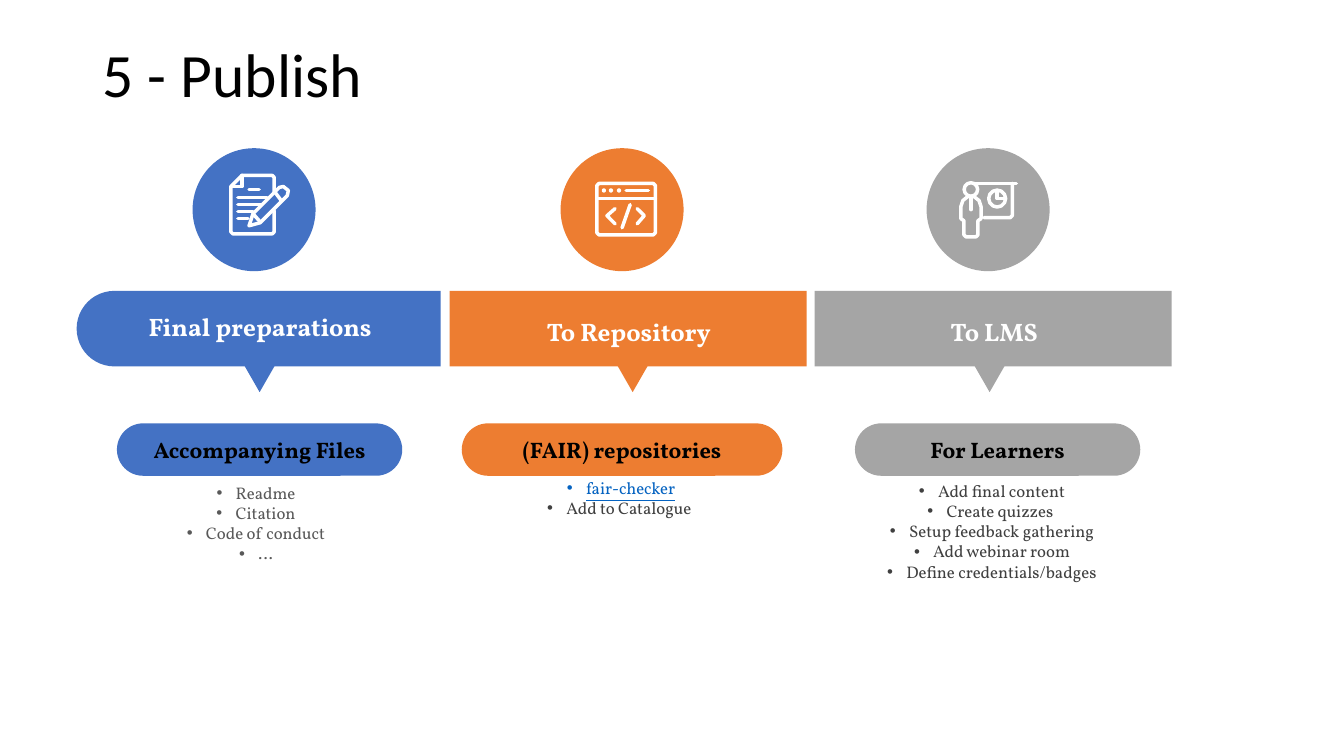
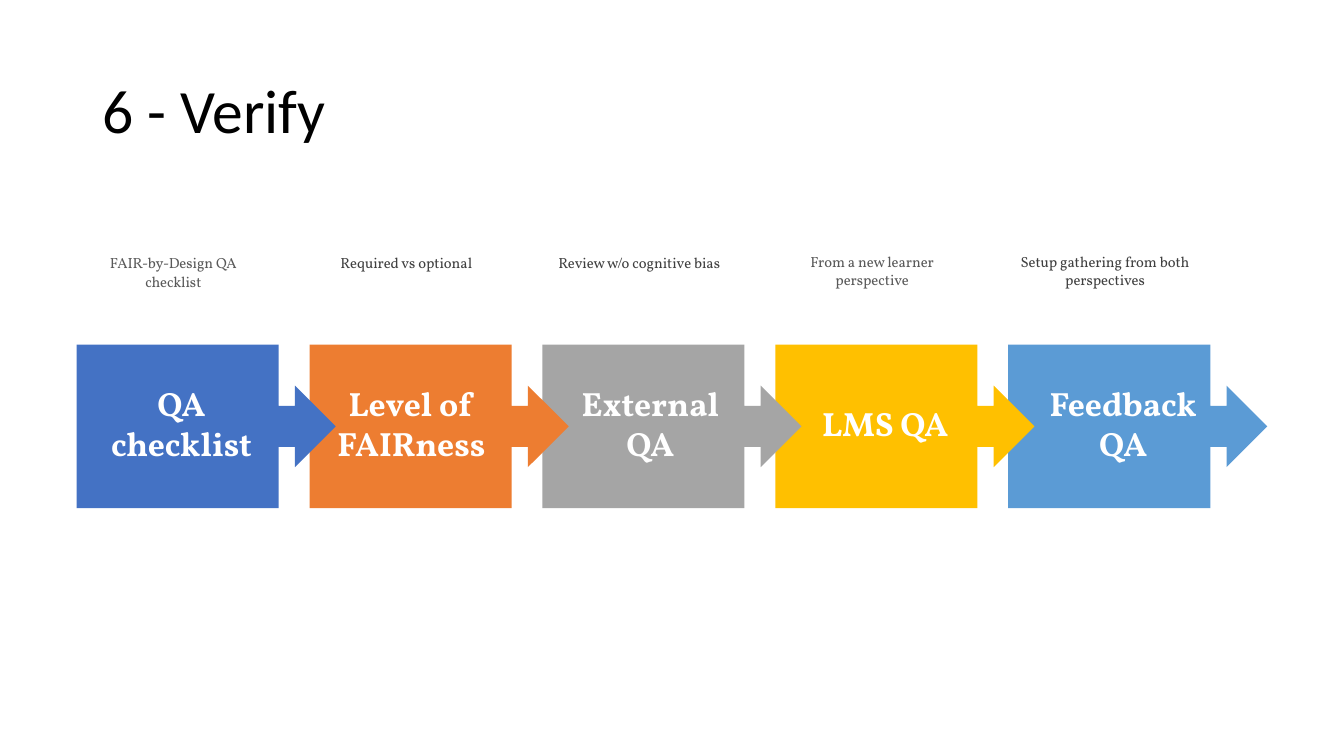
from lxml.etree import SubElement as Sub
from pptx import Presentation
from pptx.dml.color import RGBColor as RGB
from pptx.enum.shapes import MSO_CONNECTOR as Link, MSO_SHAPE as Kind
from pptx.enum.text import MSO_ANCHOR as Anchor, PP_ALIGN as Align
from pptx.oxml.ns import qn
from pptx.util import Inches, Pt

BLUE = RGB(0x44, 0x72, 0xC4)
ORANGE = RGB(0xED, 0x7D, 0x31)
GREY = RGB(0xA5, 0xA5, 0xA5)
GOLD = RGB(0xFF, 0xC0, 0x00)
SKY = RGB(0x5B, 0x9B, 0xD5)
WHITE = RGB(0xFF, 0xFF, 0xFF)
BLACK = RGB(0x00, 0x00, 0x00)
DARK = RGB(0x40, 0x40, 0x40)
MID = RGB(0x59, 0x59, 0x59)
LINK = RGB(0x05, 0x63, 0xC1)
FONT = "Vollkorn"
UNIT = Inches(0.01)  # icon grid

deck = Presentation()
deck.slide_width, deck.slide_height = Inches(13.33), Inches(7.5)


def block(page, kind, box, fill, turn=0, adj=()):
    """Add a flat filled shape; box is left, top, width, height in inches."""
    shape = page.shapes.add_shape(kind, *map(Inches, box))
    shape.fill.solid()
    shape.fill.fore_color.rgb = fill
    shape.line.fill.background()
    shape.shadow.inherit = False
    shape.rotation = turn
    for i, value in enumerate(adj):
        shape.adjustments[i] = value
    return shape


def write(shape, text, size, color, bold=False, anchor=Anchor.MIDDLE, bullet=False):
    """Fill a shape with centred text, one paragraph a line."""
    frame = shape.text_frame
    frame.word_wrap = True
    frame.vertical_anchor = anchor
    frame.text = text
    for para in frame.paragraphs:
        if bullet:
            props = para._p.get_or_add_pPr()
            props.set("marL", str(Inches(0.19)))
            props.set("indent", str(-Inches(0.19)))
            Sub(props, qn("a:buFont")).set("typeface", "Arial")
            Sub(props, qn("a:buChar")).set("char", "•")
        para.alignment = Align.CENTER
        for run in para.runs:
            font = run.font
            font.name, font.size, font.bold = FONT, Pt(size), bold
            font.color.rgb = color
    return frame


pages = []
for text, top in (("5 - Publish", 0.04), ("6 - Verify", 0.4)):
    page = deck.slides.add_slide(deck.slide_layouts[5])
    title = page.shapes.title
    title.left, title.top = Inches(0.92), Inches(top)
    title.width, title.height = Inches(11.5), Inches(1.45)
    title.text_frame.text = text
    title.text_frame.vertical_anchor = Anchor.MIDDLE
    para = title.text_frame.paragraphs[0]
    para.alignment, para.line_spacing = Align.LEFT, 0.9
    font = para.runs[0].font
    font.name, font.size, font.color.rgb = "Calibri", Pt(44), BLACK
    pages.append(page)
first, second = pages

# Publish: three columns; each box is (left, width), heads also give their top
columns = [
    dict(color=BLUE, band=(0.76, 3.61), tip=2.34, disc=1.91,
         head=("Final preparations", 0.84, 3.04, 3.48),
         pill=("Accompanying Files", 1.16, 2.83),
         notes=("Readme\nCitation\nCode of conduct\n…", 1.26, 4.74, 2.56, MID)),
    dict(color=ORANGE, band=(4.46, 3.54), tip=6.04, disc=5.56,
         head=("To Repository", 4.48, 3.09, 3.51),
         pill=("(FAIR) repositories", 4.58, 3.18),
         notes=("fair-checker\nAdd to Catalogue ", 4.75, 4.69, 2.82, DARK)),
    dict(color=GREY, band=(8.08, 3.54), tip=9.58, disc=9.19,
         head=("To LMS", 8.09, 3.09, 3.54),
         pill=("For Learners", 8.48, 2.83),
         notes=("Add final content\nCreate quizzes \nSetup feedback gathering\n"
                "Add webinar room\nDefine credentials/badges", 8.16, 4.72, 3.36, DARK)),
]

for i, col in enumerate(columns):
    color = col["color"]
    left, width = col["band"]
    high, mid = 0.75, 3.26
    if i == 0:  # rounded end: an upright shape laid on its side
        box = (left + (width - high) / 2, mid - width / 2, high, width)
        block(first, Kind.ROUND_2_SAME_RECTANGLE, box, color, 270, (0.5, 0))
    else:
        block(first, Kind.RECTANGLE, (left, mid - high / 2, width, high), color)
    block(first, Kind.ISOSCELES_TRIANGLE, (col["tip"], 3.48, 0.47, 0.41), color, 180)
    block(first, Kind.OVAL, (col["disc"], 1.47, 1.22, 1.22), color)

    text, left, width = col["pill"]
    pill = block(first, Kind.ROUNDED_RECTANGLE, (left, 4.2, width, 0.52), color, adj=(0.5,))
    write(pill, text, 16, BLACK, True)

    text, left, top, width = col["head"]
    head = first.shapes.add_textbox(*map(Inches, (left, top, width, 0.4)))
    write(head, text, 18, WHITE, True)

    text, left, top, width, shade = col["notes"]
    rows = text.count("\n") + 1
    notes = first.shapes.add_textbox(*map(Inches, (left, top, width, 0.1 + 0.2 * rows)))
    frame = write(notes, text, 12, shade, anchor=Anchor.TOP, bullet=True)
    if i == 1:
        font = frame.paragraphs[0].runs[0].font
        font.color.rgb, font.underline = LINK, True

# Icons on the grid of each disc: a figure is a list of strokes drawn as one
# outline, a line has two ends, a ring is (x, y, radius)
icons = [
    dict(figures=[
        [[(81, 44), (81, 29), (79, 27), (49, 27), (38, 38), (38, 83), (40, 85),
          (79, 85), (81, 83), (81, 62)],
         [(49, 27), (49, 38), (38, 38)],
         [(56, 77), (60, 65), (86, 39), (90, 38), (95, 42), (94, 47), (67, 74), (56, 77)],
         [(82, 44), (88, 52)], [(60, 65), (67, 73)],
         [(45, 49), (74, 49)], [(45, 56), (68, 56)],
         [(45, 63), (60, 63)], [(45, 70), (55, 70)]]],
         lines=[[(56, 41), (66, 41)]],
         rings=[]),
    dict(figures=[
        [[(38, 35), (92, 35), (94, 37), (94, 84), (92, 86), (38, 86), (36, 84),
          (36, 37), (38, 35)],
         [(36, 50), (94, 50)]],
        [[(54, 60), (46, 67), (54, 75)]],
        [[(76, 60), (83, 67), (76, 75)]]],
         lines=[[(65, 42), (87, 42)], [(69, 56), (61, 79)]],
         rings=[(x, 42, 0.4) for x in (43, 50, 58)]),
    dict(figures=[
        [[(46, 35), (89, 35)],
         [(85, 35), (85, 67), (83, 69), (57, 69)],
         [(44, 49), (44, 61)],
         [(41, 48), (36, 52), (34, 58), (34, 70), (37, 72), (37, 86), (39, 88), (49, 88),
          (51, 86), (51, 72), (54, 70), (54, 58), (52, 52), (47, 48)]],
        [[(70, 42), (70, 50), (78, 50)]]],
         lines=[],
         rings=[(44, 41, 6.7), (70, 50, 8.4)]),
]

for col, icon in zip(columns, icons):
    ox, oy = Inches(col["disc"]), Inches(1.47)
    parts = []
    for figure in icon["figures"]:
        pen = first.shapes.build_freeform(*figure[0][0], scale=UNIT)
        for i, pts in enumerate(figure):
            if i:
                pen.move_to(*pts[0])
            pen.add_line_segments(pts[1:], close=pts[0] == pts[-1])
        part = pen.convert_to_shape(ox, oy)
        part.fill.background()
        parts.append(part)
    for (ax, ay), (bx, by) in icon["lines"]:
        parts.append(first.shapes.add_connector(
            Link.STRAIGHT, ox + ax * UNIT, oy + ay * UNIT, ox + bx * UNIT, oy + by * UNIT))
    for x, y, r in icon["rings"]:
        size = int(2 * r * UNIT)
        part = first.shapes.add_shape(
            Kind.OVAL, ox + int((x - r) * UNIT), oy + int((y - r) * UNIT), size, size)
        part.fill.background()
        parts.append(part)
    for part in parts:
        part.line.color.rgb, part.line.width = WHITE, Pt(2.5)
        props = part.element.spPr
        line = props.find(qn("a:ln"))
        line.set("cap", "rnd")
        Sub(line, qn("a:round"))
        Sub(props, qn("a:effectLst"))

# Verify: five steps at an equal pitch, each arrow lying over the next step
steps = [
    ("QA checklist", 0.92, BLUE, "FAIR-by-Design QA checklist", MID, 1.07),
    ("Level of FAIRness", 3.2, ORANGE, "Required vs optional", DARK, 1.07),
    ("External QA", 5.57, GREY, "Review w/o cognitive bias", DARK, 1.07),
    ("LMS QA", 7.9, GOLD, "From a new learner perspective", MID, 1),
    ("Feedback QA", 10.26, SKY, "Setup gathering from both perspectives", DARK, 1),
]
lefts = [0.76 + 2.31 * i for i in range(len(steps))]

for left, step in reversed(list(zip(lefts, steps))):
    block(second, Kind.RIGHT_ARROW_CALLOUT, (left, 3.42, 2.57, 1.62), step[2],
          adj=(0.25, 0.25, 0.25, 0.78))

for left, (name, edge, _, note, shade, gap) in zip(lefts, steps):
    label = second.shapes.add_textbox(*map(Inches, (edge, 3.74, 1.76, 0.91)))
    write(label, name, 24, WHITE, True)
    label = second.shapes.add_textbox(*map(Inches, (left, 2.46, 1.92, 0.45)))
    frame = write(label, note, 10.5, shade, anchor=Anchor.TOP)
    frame.paragraphs[0].line_spacing = gap

deck.save("out.pptx")
